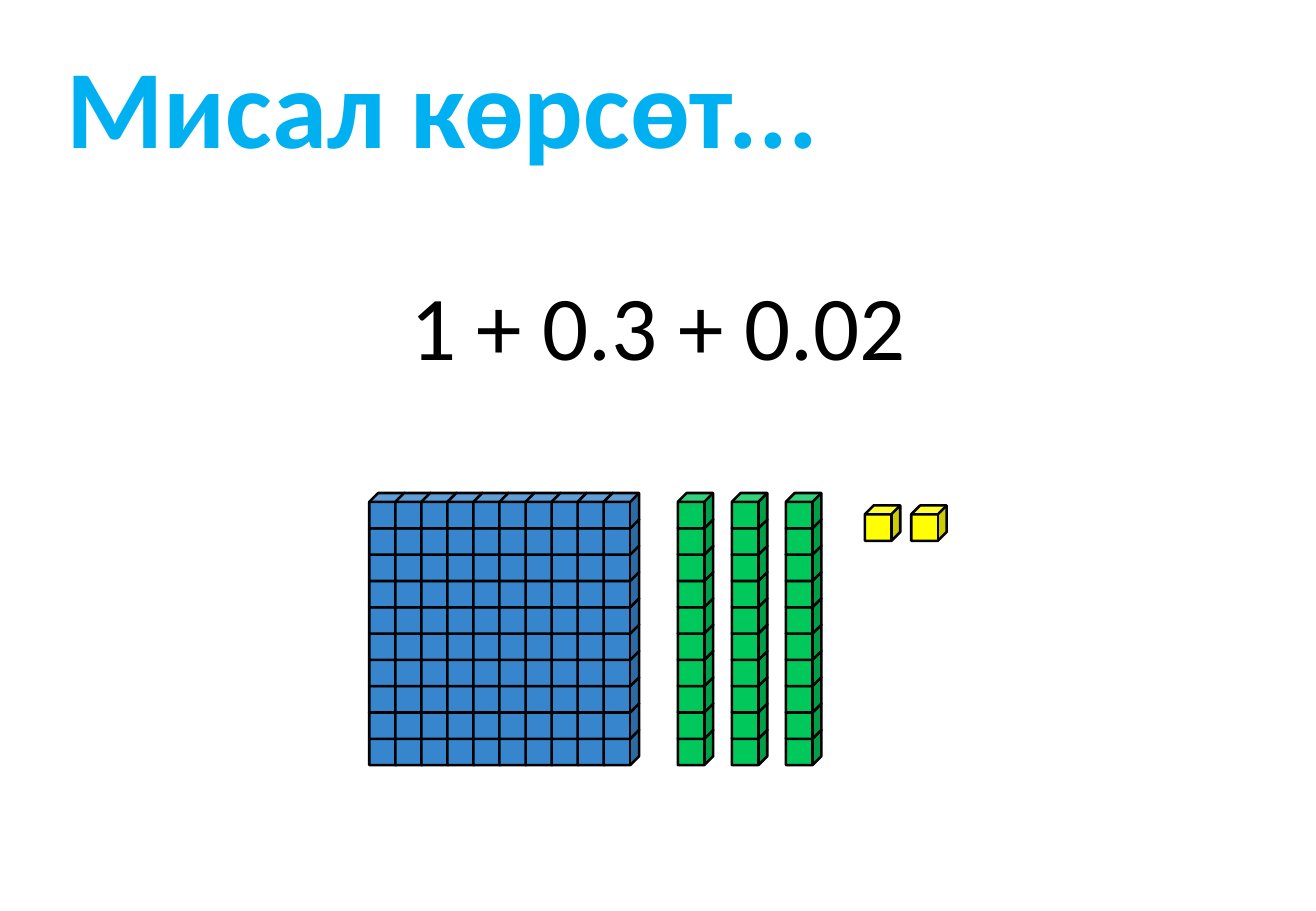
import pptx
import pptx.dml.color
import pptx.enum.shapes
import pptx.enum.text
import pptx.util
from pptx.util import Cm, Pt

RGBColor = pptx.dml.color.RGBColor
BLACK = RGBColor(0x00, 0x00, 0x00)
SKY = RGBColor(0x00, 0xB0, 0xF0)
BLUE = RGBColor(0x37, 0x86, 0xCD)
GREEN = RGBColor(0x00, 0xC8, 0x5A)
YELLOW = RGBColor(0xFF, 0xFF, 0x00)

TITLE = "Мисал көрсөт..."
SUM = "1 + 0.3 + 0.02"

# Lengths in cm
CUBE = 0.74
COLUMN_STEP = 4.9 / 9
ROW_STEP = 0.55
BLOCKS_TOP = 10.31
# colour, left, top, pieces, gap between piece lefts, columns and rows of a piece
PLACE_VALUES = [
    (BLUE, 7.72, BLOCKS_TOP, 1, 0, 10, 10),
    (GREEN, 14.17, BLOCKS_TOP, 3, 1.13, 1, 10),
    (YELLOW, 18.08, 10.57, 2, 0.97, 1, 1),
]


def add_text(slide, text, box, size, color, bold=False, wrap=True):
    frame = slide.shapes.add_textbox(*map(Cm, box)).text_frame
    frame.word_wrap = wrap
    frame.auto_size = pptx.enum.text.MSO_AUTO_SIZE.SHAPE_TO_FIT_TEXT
    paragraph = frame.paragraphs[0]
    paragraph.text = text
    paragraph.font.name = "Calibri"
    paragraph.font.size = Pt(size)
    paragraph.font.bold = bold
    paragraph.font.color.rgb = color
    return frame


def add_piece(slide, color, left, top, columns, rows):
    """Stack cubes bottom to top, then left to right, so fronts overlap correctly."""
    piece = slide.shapes.add_group_shape()
    for column in range(columns):
        for row in reversed(range(rows)):
            cube = piece.shapes.add_shape(
                pptx.enum.shapes.MSO_SHAPE.CUBE,
                Cm(left + column * COLUMN_STEP), Cm(top + row * ROW_STEP),
                Cm(CUBE), Cm(CUBE))
            cube.shadow.inherit = False
            cube.fill.solid()
            cube.fill.fore_color.rgb = color
            cube.line.color.rgb = BLACK
            cube.line.width = Pt(1.5)


def main():
    deck = pptx.Presentation()
    deck.slide_width, deck.slide_height = Cm(27.51), Cm(19.05)
    slide = deck.slides.add_slide(deck.slide_layouts[6])

    total = add_text(slide, SUM, (8.26, 5.51, 11, 2.57), 54, BLACK, wrap=False)
    total.paragraphs[0].alignment = pptx.enum.text.PP_ALIGN.CENTER

    for color, left, top, pieces, gap, columns, rows in PLACE_VALUES:
        for index in range(pieces):
            add_piece(slide, color, left + index * gap, top, columns, rows)

    title = add_text(slide, TITLE, (0.61, 0.66, 19.15, 3.07), 66, SKY, bold=True)
    title.margin_left = Cm(0.78)

    deck.save("out.pptx")


if __name__ == "__main__":
    main()
